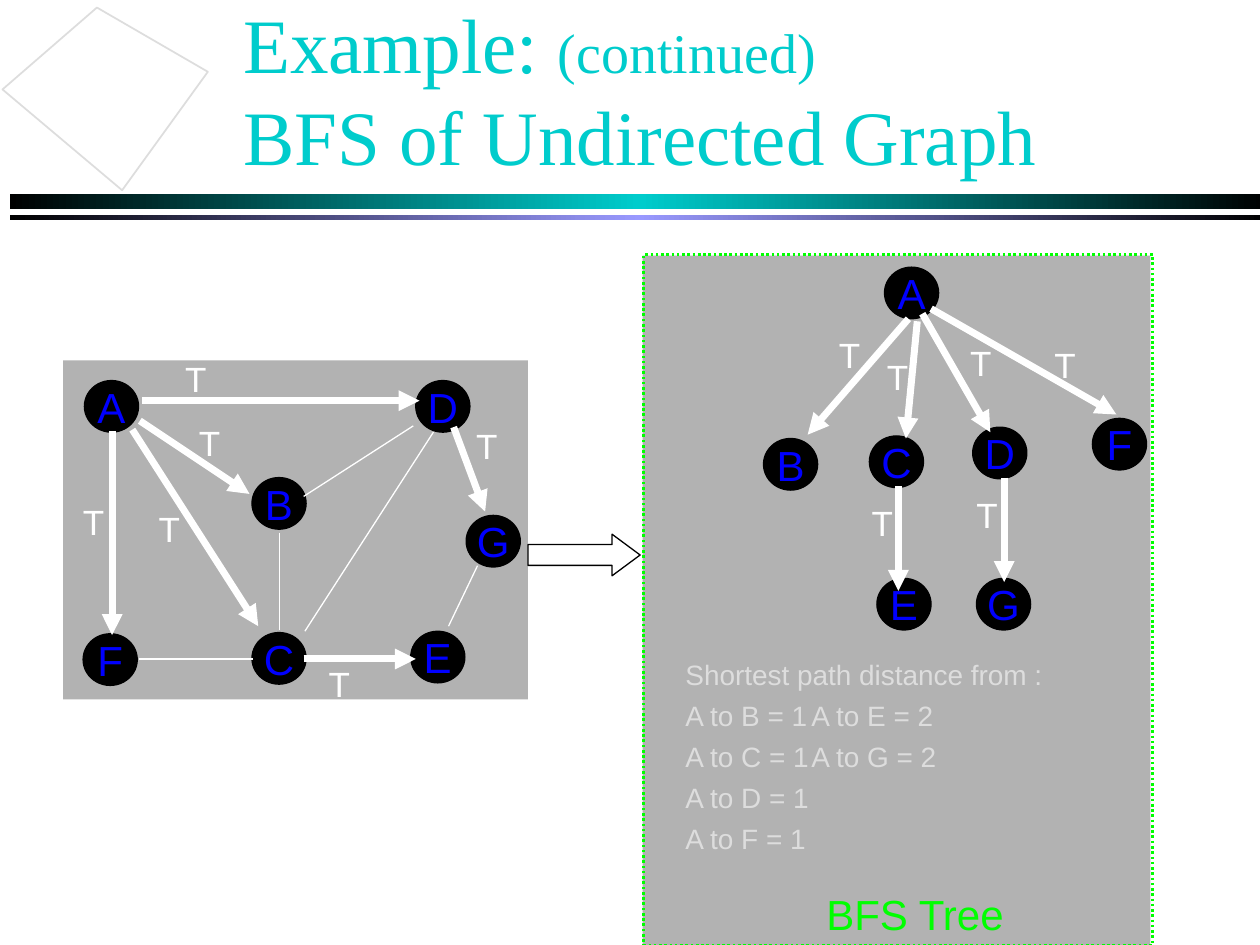
from dataclasses import dataclass
from typing import Any, NamedTuple

from lxml import etree
from pptx import Presentation, util as u
from pptx.dml import color
from pptx.enum import dml, shapes, text
from pptx.oxml import ns


@dataclass(frozen=True)
class Theme:
    black: str = "000000"
    white: str = "FFFFFF"
    teal: str = "00CCCC"
    lilac: str = "9999FF"
    gray: str = "B2B2B2"
    pale: str = "DDDDDD"
    blue: str = "0000FF"
    green: str = "00FF00"
    serif: str = "Times New Roman"
    sans: str = "Arial"
    head: int = 44
    sub: int = 32
    node: int = 24
    mark: int = 20
    body: int = 16


class Box(NamedTuple):
    x: float
    y: float
    w: float
    h: float


class Node(NamedTuple):
    name: str
    x: float
    y: float


class Edge(NamedTuple):
    x: float
    y: float
    to_x: float
    to_y: float
    tree: bool = True


class Mark(NamedTuple):
    x: float
    y: float
    w: float = 0.48


class Graph(NamedTuple):
    nodes: list[Node]
    edges: list[Edge]
    marks: list[Mark]


T = Theme()

COVER = Graph(
    [Node("A", 0.67, 3.02), Node("B", 2, 3.79), Node("C", 2, 5.02), Node("D", 3.3, 3.02),
     Node("E", 3.26, 5.01), Node("F", 0.66, 5.03), Node("G", 3.7, 4.09)],
    [Edge(3.44, 3.43, 2.42, 5.01, False), Edge(1.1, 5.23, 2.01, 5.23, False),
     Edge(2.41, 3.94, 3.28, 3.38, False), Edge(2.22, 4.23, 2.22, 5, False),
     Edge(3.79, 4.49, 3.56, 4.97, False), Edge(1.11, 3.34, 1.98, 3.92),
     Edge(1.05, 3.41, 2.05, 4.97), Edge(1.13, 3.18, 3.33, 3.18),
     Edge(0.89, 3.42, 0.89, 5.04), Edge(2.41, 5.23, 3.3, 5.23), Edge(3.6, 3.39, 3.85, 4.06)],
    [Mark(1.48, 3.3), Mark(1.16, 3.98), Mark(1.37, 2.79), Mark(0.56, 3.92),
     Mark(2.51, 5.21), Mark(3.68, 3.32)],
)

TREE = Graph(
    [Node("A", 7.02, 2.12), Node("F", 8.67, 3.32), Node("B", 6.06, 3.48), Node("D", 7.72, 3.39),
     Node("C", 6.9, 3.46), Node("E", 6.96, 4.59), Node("G", 7.75, 4.59)],
    [Edge(7.21, 2.53, 6.41, 3.45), Edge(7.28, 2.55, 7.19, 3.48), Edge(7.39, 2.45, 8.86, 3.29),
     Edge(7.32, 2.49, 7.86, 3.43), Edge(7.97, 3.79, 7.97, 4.62), Edge(7.13, 3.86, 7.13, 4.69)],
    [Mark(6.56, 2.6, 0.26), Mark(6.94, 2.77), Mark(7.6, 2.66, 0.31), Mark(8.27, 2.68, 0.31),
     Mark(6.82, 3.93, 0.26), Mark(7.65, 3.87, 0.26)],
)

PATHS = ["Shortest path distance from :", "A to B = 1\tA to E = 2", "A to C = 1\tA to G = 2",
         "A to D = 1", "A to F = 1"]


def rgb(code: str) -> color.RGBColor:
    return color.RGBColor.from_string(code)


def place(shape: Any, box: Box) -> None:
    shape.left, shape.top, shape.width, shape.height = map(u.Inches, box)


def style(font: Any, face: str, size: int, code: str) -> None:
    font.name, font.size = face, u.Pt(size)
    font.color.rgb = rgb(code)


def paint(shape: Any, fill: str | None, line: str | None = None, width: float = 0.75) -> None:
    shape.shadow.inherit = False
    if fill:
        shape.fill.solid()
        shape.fill.fore_color.rgb = rgb(fill)
    else:
        shape.fill.background()
    if line:
        shape.line.color.rgb = rgb(line)
        shape.line.width = u.Pt(width)
    else:
        shape.line.fill.background()


def draw(pool: Any, kind: Any, box: Box, fill: str | None,
         line: str | None = None, width: float = 0.75) -> Any:
    shape = pool.add_shape(kind, *map(u.Inches, box))
    paint(shape, fill, line, width)
    return shape


def band(pool: Any, box: Box, mid: str) -> None:
    bar = draw(pool, shapes.MSO_SHAPE.RECTANGLE, box, None)
    bar.fill.gradient()
    bar.fill.gradient_angle = 0
    stops = bar.fill._fill._gradFill.find(ns.qn("a:gsLst"))
    stops.clear()
    for spot, code in ((0, T.black), (50, mid), (100, T.black)):
        stop = etree.SubElement(stops, ns.qn("a:gs"), pos=str(spot * 1000))
        etree.SubElement(stop, ns.qn("a:srgbClr"), val=code)


def label(pool: Any, box: Box, words: str, size: int, code: str) -> None:
    frame = pool.add_textbox(*map(u.Inches, box)).text_frame
    frame.word_wrap = True
    frame.auto_size = text.MSO_AUTO_SIZE.SHAPE_TO_FIT_TEXT
    frame.text = words
    style(frame.paragraphs[0].font, T.sans, size, code)


def link(pool: Any, edge: Edge) -> None:
    ends = map(u.Inches, edge[:4])
    line = pool.add_connector(shapes.MSO_CONNECTOR.STRAIGHT, *ends)
    line.line.color.rgb = rgb(T.white)
    line.line.width = u.Pt(4 if edge.tree else 0.75)
    if edge.tree:
        etree.SubElement(line.line._get_or_add_ln(), ns.qn("a:tailEnd"), type="triangle")
    etree.SubElement(line._element.spPr, ns.qn("a:effectLst"))


def plot(pool: Any, graph: Graph) -> None:
    group = pool.add_group_shape().shapes
    for node in graph.nodes:
        disc = draw(group, shapes.MSO_SHAPE.OVAL, Box(node.x, node.y, 0.43, 0.41), T.black, T.black)
        frame = disc.text_frame
        frame.word_wrap = False
        frame.text = node.name
        frame.paragraphs[0].alignment = text.PP_ALIGN.CENTER
        style(frame.paragraphs[0].font, T.sans, T.node, T.blue)
    for edge in graph.edges:
        link(group, edge)
    for mark in graph.marks:
        label(group, Box(mark.x, mark.y, mark.w, 0.44), "T", T.mark, T.white)


def shade(run: Any) -> None:
    list_ = etree.Element(ns.qn("a:effectLst"))
    cast = etree.SubElement(list_, ns.qn("a:outerShdw"), dist="25400", dir="2700000")
    etree.SubElement(cast, ns.qn("a:srgbClr"), val=T.black)
    run.font.color.rgb = rgb(T.teal)
    run.font._element.find(ns.qn("a:solidFill")).addnext(list_)


def head(shape: Any) -> None:
    place(shape, Box(1.83, 0.08, 8.5, 1.25))
    frame = shape.text_frame
    frame.auto_size = text.MSO_AUTO_SIZE.NONE
    frame.vertical_anchor = text.MSO_ANCHOR.MIDDLE
    para = frame.paragraphs[0]
    para.alignment = text.PP_ALIGN.LEFT
    style(para.font, T.serif, T.head, T.teal)
    for words, size in (("Example: ", T.head), ("(continued)", T.sub), ("BFS of Undirected Graph", T.head)):
        run = para.add_run()
        run.text, run.font.size = words, u.Pt(size)
        shade(run)
        if size == T.sub:
            para.add_line_break()


def table(shape: Any) -> None:
    place(shape, Box(5.34, 5.24, 4.28, 1.59))
    frame = shape.text_frame
    frame.auto_size = text.MSO_AUTO_SIZE.NONE
    frame.text = "\n".join(PATHS)
    for rank, para in enumerate(frame.paragraphs):
        para.line_spacing = 0.7
        para.space_before = u.Pt(10 if rank else 0)
        props = para._p.get_or_add_pPr()
        props.set("marL", "0")
        props.set("indent", "0")
        etree.SubElement(props, ns.qn("a:buNone"))
        tabs = etree.SubElement(props, ns.qn("a:tabLst"))
        etree.SubElement(tabs, ns.qn("a:tab"), pos=str(u.Inches(2)), algn="l")
        style(para.font, T.sans, T.body, T.pale)


def main() -> None:
    deck = Presentation()
    deck.slide_width, deck.slide_height = u.Inches(10), u.Inches(7.5)
    slide = deck.slides.add_slide(deck.slide_layouts[1])
    pool = slide.shapes
    title, body = slide.placeholders
    kinds = shapes.MSO_SHAPE
    band(pool, Box(0.08, 1.54, 9.99, 0.12), T.teal)
    band(pool, Box(0.08, 1.71, 9.99, 0.04), T.lilac)
    kite = pool.build_freeform(u.Inches(0.97), u.Inches(1.51))
    kite.add_line_segments([(u.Inches(x), u.Inches(y)) for x, y in ((0.02, 0.71), (0.77, 0.06), (1.65, 0.57))])
    paint(kite.convert_to_shape(), T.white, T.pale, 1)
    for box in (Box(5.1, 2.03, 4.03, 5.47), Box(0.5, 2.86, 3.69, 2.69)):
        draw(pool, kinds.RECTANGLE, box, T.gray)
    for shape, fill in ((title, head), (body, table)):
        pool._spTree.append(shape._element)
        fill(shape)
    arrow = draw(pool, kinds.RIGHT_ARROW, Box(4.19, 4.24, 0.89, 0.33), T.white, T.black)
    arrow.adjustments[1] = 0.675
    frame = draw(pool, kinds.RECTANGLE, Box(5.11, 2.02, 4.04, 5.48), None, T.green, 1.5)
    frame.line.dash_style = dml.MSO_LINE.ROUND_DOT
    label(pool, Box(6.46, 7, 2.43, 0.5), "BFS Tree", T.node, T.green)
    for graph in (COVER, TREE):
        plot(pool, graph)
    deck.save("out.pptx")


if __name__ == "__main__":
    main()
